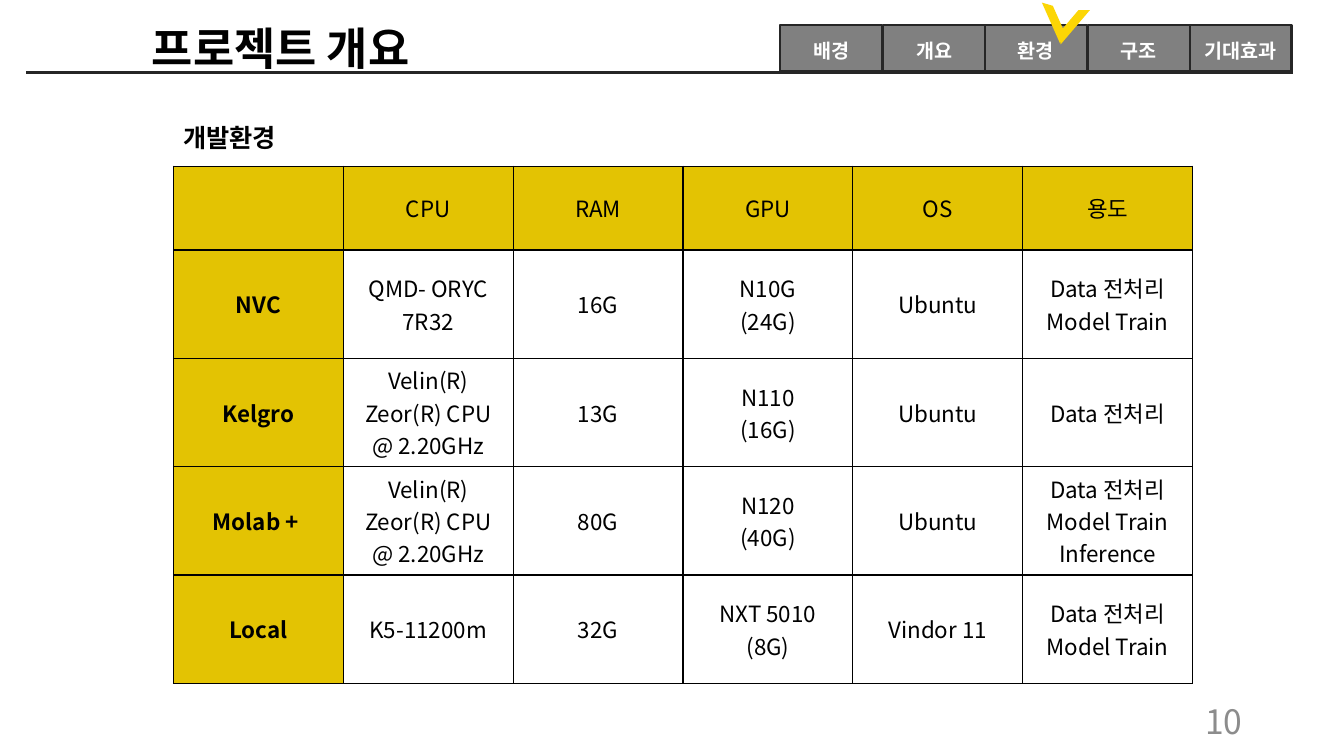
from dataclasses import dataclass
from typing import Any

import lxml.etree
import pptx
import pptx.dml.color
import pptx.enum.shapes
import pptx.enum.text
import pptx.oxml.ns
import pptx.util

EMU_PER_PX = 9144
FONT = "Noto Sans CJK KR"
COLORS = {
    "ink": "000000",
    "rule": "262626",
    "tab": "808080",
    "white": "FFFFFF",
    "check": "FCD605",
    "header": "E3C303",
    "page": "8C8C8C",
}
ALIGN = pptx.enum.text.PP_ALIGN
ANCHOR = pptx.enum.text.MSO_ANCHOR
SHAPE = pptx.enum.shapes.MSO_SHAPE


@dataclass(frozen=True)
class Box:
    left: int
    top: int
    width: int
    height: int

    def emu(self) -> tuple[int, int, int, int]:
        return px(self.left), px(self.top), px(self.width), px(self.height)


@dataclass(frozen=True)
class Stripe:
    box: Box
    rotation: float = 0
    flipped: bool = False


@dataclass(frozen=True)
class Machine:
    name: str
    cpu: str
    ram: str
    gpu: str
    system: str
    purpose: str

    def cells(self) -> list[str]:
        return [self.name, self.cpu, self.ram, self.gpu, self.system, self.purpose]


TABS = ["배경", "개요", "환경", "구조", "기대효과"]
CHECK = [
    Stripe(Box(1052, 10, 29, 34)),
    Stripe(Box(1028, 6, 29, 34), rotation=16.5, flipped=True),
]
MACHINES = [
    Machine("", "CPU", "RAM", "GPU", "OS", "용도"),
    Machine("NVC", "QMD- ORYC\n7R32", "16G", "N10G\n(24G)", "Ubuntu", "Data 전처리\nModel Train"),
    Machine("Kelgro", "Velin(R) Zeor(R) CPU @ 2.20GHz", "13G", "N110\n(16G)", "Ubuntu", "Data 전처리"),
    Machine("Molab + ", "Velin(R) Zeor(R) CPU @ 2.20GHz", "80G", "N120\n(40G)", "Ubuntu",
            "Data 전처리\nModel Train\nInference"),
    Machine("Local", "K5-11200m", "32G", "NXT 5010\n(8G)", "Vindor 11", "Data 전처리\nModel Train"),
]


def px(length: int) -> int:
    return length * EMU_PER_PX


def rgb(name: str) -> pptx.dml.color.RGBColor:
    return pptx.dml.color.RGBColor.from_string(COLORS[name])


def write(frame: Any, text: str, *, size: int, color: str = "ink", bold: bool = False,
          align: Any = ALIGN.CENTER) -> None:
    frame.word_wrap = True
    for index, line in enumerate(text.split("\n")):
        paragraph = frame.add_paragraph() if index else frame.paragraphs[0]
        paragraph.alignment = align
        run = paragraph.add_run()
        run.text = line
        run.font.size = pptx.util.Pt(size)
        run.font.bold = bold
        run.font.color.rgb = rgb(color)
        run.font.name = FONT
        east_asian = lxml.etree.SubElement(run.font._element, pptx.oxml.ns.qn("a:ea"))
        east_asian.set("typeface", FONT)


def add_label(slide: Any, box: Box, text: str, *, anchor: Any = ANCHOR.TOP, **text_format: Any) -> None:
    frame = slide.shapes.add_textbox(*box.emu()).text_frame
    frame.vertical_anchor = anchor
    write(frame, text, **text_format)


def add_rule(slide: Any) -> None:
    rule = slide.shapes.add_connector(
        pptx.enum.shapes.MSO_CONNECTOR.STRAIGHT, px(26), px(72), px(1282), px(72))
    rule.line.color.rgb = rgb("rule")
    rule.line.width = pptx.util.Pt(1.5)
    lxml.etree.SubElement(rule._element.spPr, pptx.oxml.ns.qn("a:effectLst"))


def add_filled(group: Any, preset: Any, box: Box, color: str) -> Any:
    shape = group.shapes.add_shape(preset, *box.emu())
    shape.shadow.inherit = False
    shape.fill.solid()
    shape.fill.fore_color.rgb = rgb(color)
    return shape


def add_tabs(slide: Any) -> None:
    navigation = slide.shapes.add_group_shape()
    for index, title in enumerate(TABS):
        box = Box(774 + (203 * index + 1) // 2, 25, 101, 46)
        tab = add_filled(navigation, SHAPE.RECTANGLE, box, "tab")
        tab.line.color.rgb = rgb("rule")
        tab.line.width = pptx.util.Pt(1.5)
        frame = tab.text_frame
        frame.margin_top, frame.margin_bottom = px(5), 0
        frame.vertical_anchor = ANCHOR.MIDDLE
        write(frame, title, size=14, color="white", bold=True)


def add_check(slide: Any) -> None:
    check = slide.shapes.add_group_shape()
    for stripe in CHECK:
        stroke = add_filled(check, SHAPE.DIAGONAL_STRIPE, stripe.box, "check")
        stroke.line.fill.background()
        stroke.adjustments[0] = 0.61
        stroke.rotation = stripe.rotation
        if stripe.flipped:
            stroke._element.spPr.get_or_add_xfrm().set("flipH", "1")


def add_borders(cell: Any) -> None:
    properties = cell._tc.get_or_add_tcPr()
    for side in ("lnL", "lnR", "lnT", "lnB"):
        border = lxml.etree.SubElement(properties, pptx.oxml.ns.qn(f"a:{side}"))
        border.set("w", str(pptx.util.Pt(1)))
        fill = lxml.etree.SubElement(border, pptx.oxml.ns.qn("a:solidFill"))
        lxml.etree.SubElement(fill, pptx.oxml.ns.qn("a:srgbClr")).set("val", COLORS["ink"])


def add_environment(slide: Any, box: Box, header_height: int) -> None:
    columns = len(MACHINES[0].cells())
    table = slide.shapes.add_table(len(MACHINES), columns, *box.emu()).table
    table.first_row = table.horz_banding = False
    for column in table.columns:
        column.width = px(box.width) // columns
    for index, row in enumerate(table.rows):
        row.height = px(box.height - header_height) // (len(MACHINES) - 1) if index else px(header_height)
    for row_index, machine in enumerate(MACHINES):
        for column_index, text in enumerate(machine.cells()):
            cell = table.cell(row_index, column_index)
            add_borders(cell)
            if row_index == 0 or column_index == 0:
                cell.fill.solid()
                cell.fill.fore_color.rgb = rgb("header")
            else:
                cell.fill.background()
            cell.margin_left = cell.margin_right = px(9)
            cell.margin_top = cell.margin_bottom = px(4)
            cell.vertical_anchor = ANCHOR.MIDDLE
            if text:
                write(cell.text_frame, text, size=16, bold=column_index == 0)


def main() -> None:
    presentation = pptx.Presentation()
    presentation.slide_width = px(1333)
    presentation.slide_height = px(750)
    slide = presentation.slides.add_slide(presentation.slide_layouts[6])
    add_rule(slide)
    add_label(slide, Box(-79, 16, 715, 64), "프로젝트 개요", size=32, bold=True)
    add_tabs(slide)
    add_check(slide)
    add_environment(slide, Box(172, 165, 1011, 513), 83)
    add_label(slide, Box(172, 116, 554, 40), "개발환경", size=18, bold=True, align=ALIGN.LEFT)
    add_label(slide, Box(942, 695, 300, 40), "10", anchor=ANCHOR.MIDDLE,
              size=24, color="page", align=ALIGN.RIGHT)
    presentation.save("out.pptx")


if __name__ == "__main__":
    main()
